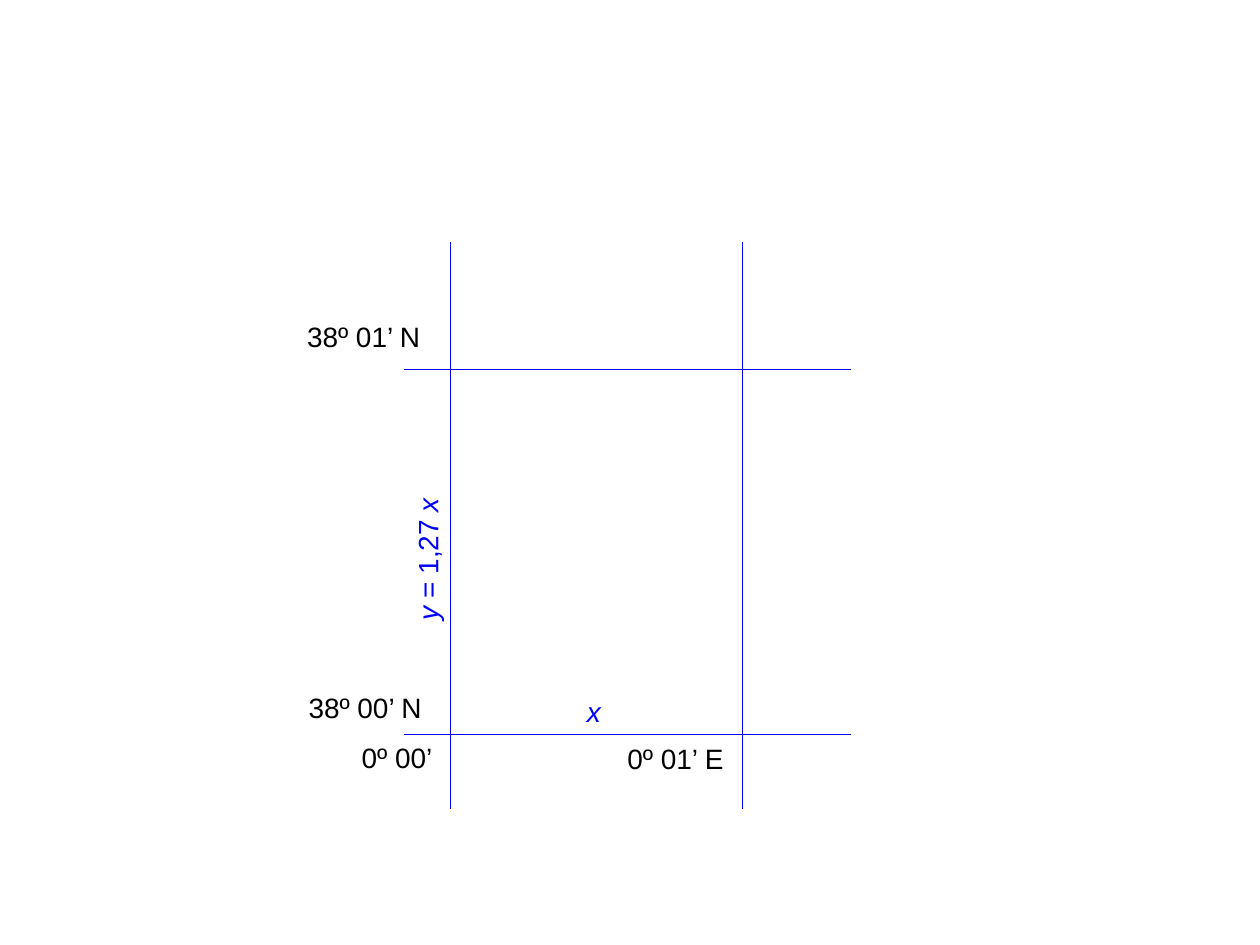
from lxml import etree
from pptx import Presentation
from pptx.dml.color import RGBColor
from pptx.enum.shapes import MSO_CONNECTOR
from pptx.enum.text import MSO_AUTO_SIZE
from pptx.oxml.ns import qn
from pptx.util import Cm, Pt

STRAIGHT = MSO_CONNECTOR.STRAIGHT
FIT_SHAPE = MSO_AUTO_SIZE.SHAPE_TO_FIT_TEXT
BLUE = RGBColor(0x00, 0x00, 0xFF)
BLACK = RGBColor(0x00, 0x00, 0x00)

MERIDIANS = (9.09, 14.96)
PARALLELS = (7.44, 14.81)
TOP, BOTTOM = 4.88, 16.31
LEFT, RIGHT = 8.15, 17.15
LABEL_HEIGHT = 0.94


def add_grid_line(group, start, end):
    """Draw a thin blue line between two points given in centimetres."""
    line = group.shapes.add_connector(
        STRAIGHT, Cm(start[0]), Cm(start[1]), Cm(end[0]), Cm(end[1]))
    line.line.color.rgb = BLUE
    line.line.width = Pt(0.5)
    etree.SubElement(line._element.spPr, qn("a:effectLst"))


def add_label(group, left, top, width, color, spans, rotation=0):
    """Add a one-line label made of (text, italic) spans."""
    box = group.shapes.add_textbox(Cm(left), Cm(top), Cm(width), Cm(LABEL_HEIGHT))
    box.rotation = rotation
    frame = box.text_frame
    frame.word_wrap = False
    frame.auto_size = FIT_SHAPE
    paragraph = frame.paragraphs[0]
    paragraph.font.name = "Arial"
    paragraph.font.size = Pt(16)
    paragraph.font.color.rgb = color
    for text, italic in spans:
        span = paragraph.add_run()
        span.text = text
        span.font.italic = italic


deck = Presentation()
deck.slide_width, deck.slide_height = Cm(25.4), Cm(19.05)
page = deck.slides.add_slide(deck.slide_layouts[6])
chart_grid = page.shapes.add_group_shape()

for x in MERIDIANS:
    add_grid_line(chart_grid, (x, TOP), (x, BOTTOM))
for y in PARALLELS:
    add_grid_line(chart_grid, (RIGHT, y), (LEFT, y))

coordinates = [
    ("38º 01’ N", 5.94, 6.32, 2.84),
    ("38º 00’ N", 5.97, 13.79, 2.84),
    ("0º 00’", 7.04, 14.81, 1.98),
    ("0º 01’ E", 12.4, 14.83, 2.46),
]
for text, left, top, width in coordinates:
    add_label(chart_grid, left, top, width, BLACK, [(text, False)])

add_label(chart_grid, 11.58, 13.87, 0.91, BLUE, [("x", True)])
add_label(chart_grid, 7.06, 10.72, 3.12, BLUE,
          [("y ", True), ("= 1,27 ", False), ("x", True)], rotation=270)

deck.save("out.pptx")
